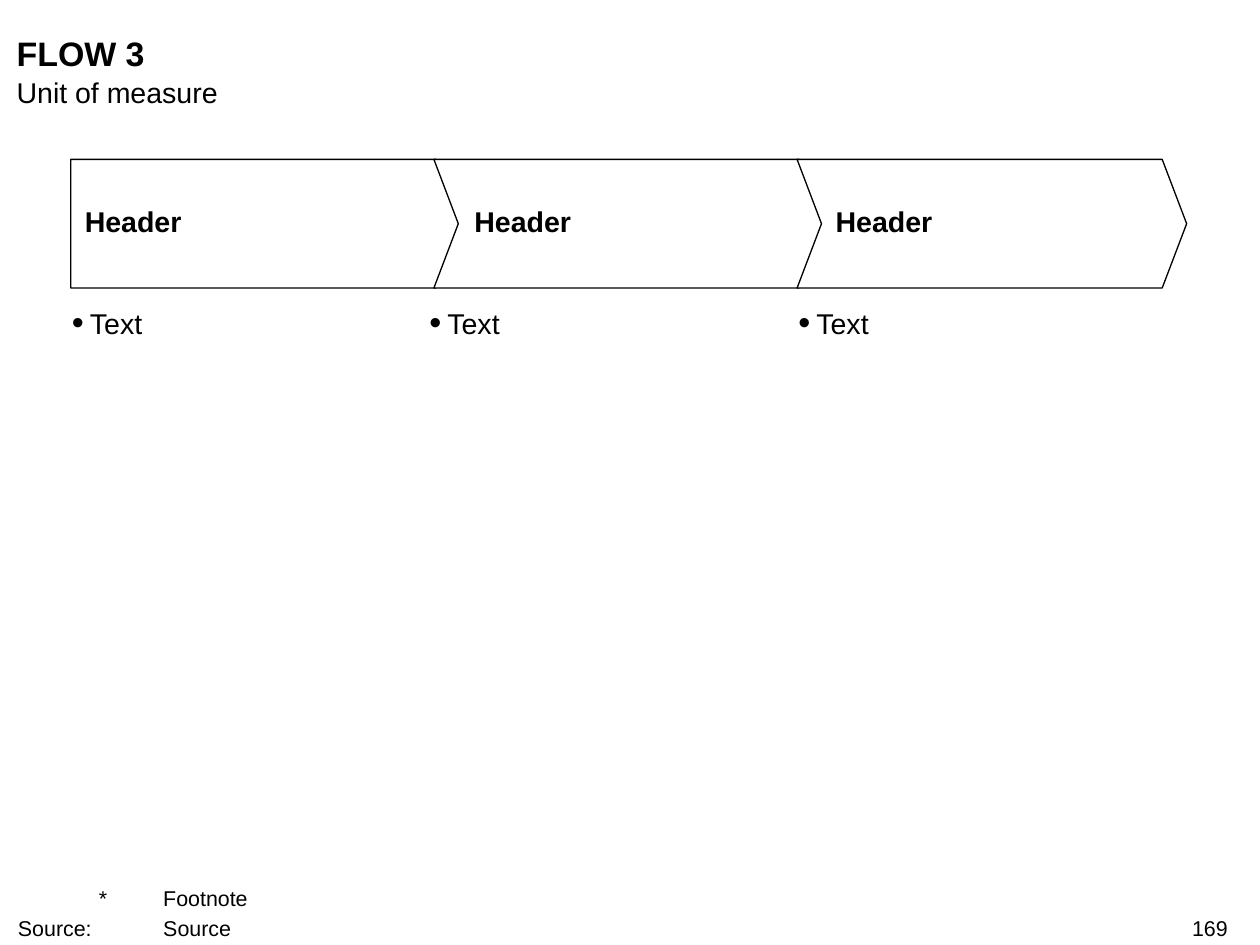
import pptx
import pptx.dml.color
import pptx.enum.text
import pptx.oxml
import pptx.oxml.ns
import pptx.util

Inches = pptx.util.Inches
Pt = pptx.util.Pt
Align = pptx.enum.text.PP_ALIGN
Anchor = pptx.enum.text.MSO_ANCHOR

COLORS = {"ink": "000000", "paper": "FFFFFF"}
INK = pptx.dml.color.RGBColor.from_string(COLORS["ink"])
PAPER = pptx.dml.color.RGBColor.from_string(COLORS["paper"])

presentation = pptx.Presentation()
presentation.slide_width = Inches(9.8)
presentation.slide_height = Inches(7.35)
slide = presentation.slides.add_slide(presentation.slide_layouts[5])


def write(shape, lines, size, bold=False, align=Align.LEFT, anchor=Anchor.TOP, inset=0):
    """Fill a text shape and return its paragraphs."""
    frame = shape.text_frame
    frame.word_wrap = True
    frame.auto_size = pptx.enum.text.MSO_AUTO_SIZE.NONE
    frame.vertical_anchor = anchor
    frame.margin_left = frame.margin_right = Inches(inset)
    frame.margin_top = frame.margin_bottom = 0
    frame.text = "\n".join(lines)
    for paragraph in frame.paragraphs:
        paragraph.alignment = align
        paragraph.font.name = "Arial"
        paragraph.font.size = Pt(size)
        paragraph.font.bold = bold
        paragraph.font.color.rgb = INK
    return frame.paragraphs


def indent(paragraph, left, first, *elements):
    """Set a hanging indent and put bullet or tab elements before the font."""
    properties = paragraph._p.get_or_add_pPr()
    properties.set("marL", str(Inches(left)))
    properties.set("indent", str(Inches(first)))
    position = len(properties) - 1
    for offset, element in enumerate(elements):
        xml = element.replace("/>", f' {pptx.oxml.ns.nsdecls("a")}/>', 1) if element.endswith("/>") \
            else element.replace(">", f' {pptx.oxml.ns.nsdecls("a")}>', 1)
        properties.insert(position + offset, pptx.oxml.parse_xml(xml))


# Title and unit of measure
margin, text_width = 0.13, 9.43
title = slide.shapes.title
title.left, title.top = Inches(margin), Inches(0.25)
title.width, title.height = Inches(text_width), Inches(0.32)
write(title, ["FLOW 3"], 19, bold=True)
unit = slide.shapes.add_textbox(Inches(margin), Inches(0.58), Inches(text_width), Inches(0.27))
write(unit, ["Unit of measure"], 16)

# Flow: one arrow, header and bullet list per column
flow_left, flow_top, flow_height = 0.55, 1.24, 1
pitch = 5.65 / 2
body, point = 2.84, 0.19
middle, bottom = flow_top + flow_height / 2, flow_top + flow_height
columns = [  # header, its left and width; list text, its left
    ("Header", 0.61, 2.78, "Text", 0.55),
    ("Header", 3.64, 2.59, "Text", 3.33),
    ("Header", 6.45, 2.59, "Text", 6.2),
]
for number, (header, header_left, header_width, text, list_left) in enumerate(columns):
    left = flow_left + number * pitch
    notch = left + point if number else left
    outline = [(left + body, flow_top), (left + body + point, middle),
               (left + body, bottom), (left, bottom), (notch, middle)]
    builder = slide.shapes.build_freeform(Inches(left), Inches(flow_top))
    builder.add_line_segments([(Inches(x), Inches(y)) for x, y in outline], close=True)
    arrow = builder.convert_to_shape()
    arrow.shadow.inherit = False
    arrow.fill.solid()
    arrow.fill.fore_color.rgb = PAPER
    arrow.line.color.rgb = INK
    arrow.line.width = Pt(0.75)

    header_box = slide.shapes.add_textbox(
        Inches(header_left), Inches(1.29), Inches(header_width), Inches(0.86))
    write(header_box, [header], 16, bold=True, anchor=Anchor.MIDDLE, inset=0.05)

    list_box = slide.shapes.add_textbox(
        Inches(list_left), Inches(2.38), Inches(2.78), Inches(0.27))
    for paragraph in write(list_box, [text], 16):
        indent(paragraph, 0.15, -0.14, '<a:buSzPct val="120000"/>',
               '<a:buFont typeface="Arial"/>', '<a:buChar char="•"/>')

# Footnote and source
footer = slide.shapes.add_textbox(Inches(0.14), Inches(6.88), Inches(8.93), Inches(0.44))
notes = write(footer, ["\t*\tFootnote", "Source:\t\tSource"], 12, anchor=Anchor.BOTTOM)
for paragraph in notes:
    indent(paragraph, 0.63, -0.63,
           f'<a:tabLst><a:tab pos="{Inches(0.58)}" algn="r"/></a:tabLst>')
notes[1].space_before = Pt(2.4)

# Page number
page = slide.shapes.add_textbox(Inches(7.51), Inches(7.12), Inches(2.04), Inches(0.2))
write(page, ["169"], 12, align=Align.RIGHT)

presentation.save("out.pptx")
